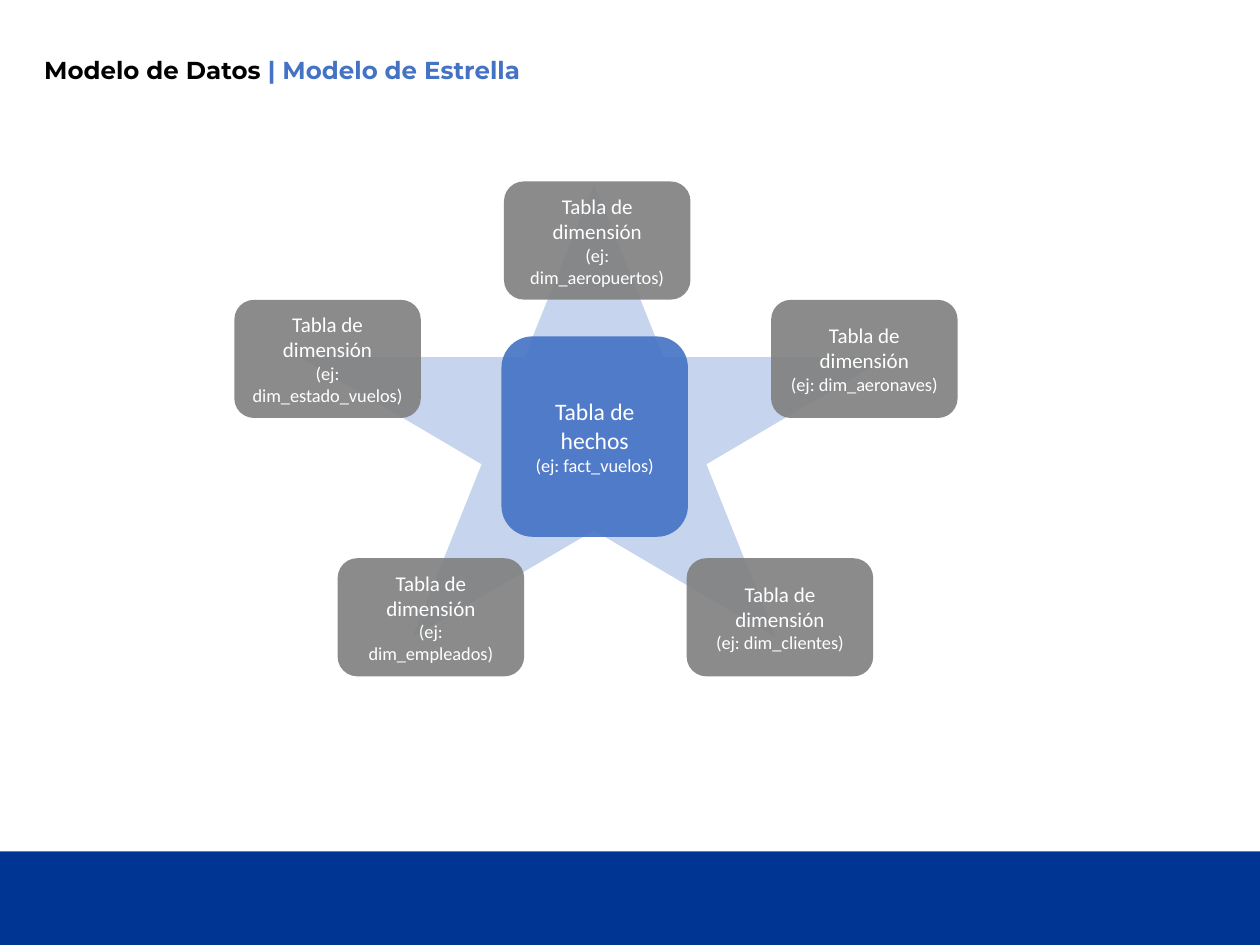
from pptx import Presentation
from pptx.dml.color import RGBColor
from pptx.enum.shapes import MSO_SHAPE
from pptx.enum.text import MSO_ANCHOR, PP_ALIGN
from pptx.oxml.ns import qn
from pptx.util import Inches, Pt
from lxml.etree import SubElement

WIDTH, HEIGHT = 10, 7.5
BLUE, GRAY, NAVY, WHITE, BLACK = "4472C4", "7F7F7F", "003594", "FFFFFF", "000000"


def rgb(color):
    """Turn a hex string into a colour."""
    return RGBColor.from_string(color)


class Deck:
    """Holds the style and the current slide; lengths are percent of the slide."""

    body_font, title_font = "Calibri", "Montserrat"
    note_size = 10.5

    def __init__(self):
        """Start a presentation with one blank slide."""
        self.prs = Presentation()
        self.prs.slide_width, self.prs.slide_height = Inches(WIDTH), Inches(HEIGHT)
        self.s = self.prs.slides.add_slide(self.prs.slide_layouts[6])

    def box(self, x, y, w, h):
        """Turn shares of the slide into lengths."""
        return [Inches(share * side / 100)
                for share, side in zip((x, y, w, h), (WIDTH, HEIGHT) * 2)]

    def shape(self, kind, at, color, opacity=100):
        """Add a plain filled shape."""
        sp = self.s.shapes.add_shape(kind, *self.box(*at))
        sp.shadow.inherit = False
        sp.line.fill.background()
        sp.fill.solid()
        sp.fill.fore_color.rgb = rgb(color)
        if opacity < 100:
            clr = sp.fill._xPr.find(qn("a:solidFill"))[0]
            SubElement(clr, qn("a:alpha")).set("val", str(opacity * 1000))
        return sp

    def run(self, p, text, font, size, color, bold=False):
        """Add one styled run to a paragraph."""
        r = p.add_run()
        r.text = text
        r.font.name, r.font.size, r.font.bold = font, Pt(size), bold
        r.font.color.rgb = rgb(color)

    def card(self, at, color, name, size, example):
        """Add a rounded table card with its name and an example."""
        tf = self.shape(MSO_SHAPE.ROUNDED_RECTANGLE, at, color, 90).text_frame
        tf.word_wrap = True
        tf.vertical_anchor = MSO_ANCHOR.MIDDLE
        lines = (name, size), (f"(ej: {example})", self.note_size)
        for p, (text, pt) in zip((tf.paragraphs[0], tf.add_paragraph()), lines):
            p.alignment = PP_ALIGN.CENTER
            self.run(p, text, self.body_font, pt, WHITE)

    def title(self, at, parts):
        """Add the heading from text and colour pairs."""
        tf = self.s.shapes.add_textbox(*self.box(*at)).text_frame
        tf.word_wrap = True
        tf.vertical_anchor = MSO_ANCHOR.MIDDLE
        tf.margin_left = tf.margin_right = Inches(0.07)
        tf.margin_top = tf.margin_bottom = Inches(0.04)
        p = tf.paragraphs[0]
        p.line_spacing = 0.9
        for text, color in parts:
            self.run(p, text, self.title_font, 14, color, True)


def main():
    """Build the star model slide."""
    deck = Deck()
    deck.shape(MSO_SHAPE.RECTANGLE, (0, 90.1, 100, 9.9), NAVY)
    deck.shape(MSO_SHAPE.STAR_5_POINT, (23.8, 19.47, 46.7, 48), BLUE, 30)
    card_w, card_h = 14.8, 12.5
    deck.card((39.8, 35.6, card_w, 21.2), BLUE, "Tabla de hechos", 13.5, "fact_vuelos")
    top, middle, bottom = 19.2, 31.73, 59.07
    dimensions = [
        (61.2, middle, "dim_aeronaves"),
        (18.6, middle, "dim_estado_vuelos"),
        (40, top, "dim_aeropuertos"),
        (26.8, bottom, "dim_empleados"),
        (54.5, bottom, "dim_clientes"),
    ]
    for x, y, example in dimensions:
        deck.card((x, y, card_w, card_h), GRAY, "Tabla de dimensión", 12, example)
    deck.title((2.8, 6, 73.9, 3.07),
               [("Modelo de Datos ", BLACK), ("| Modelo de Estrella", BLUE)])
    deck.prs.save("out.pptx")


if __name__ == "__main__":
    main()
